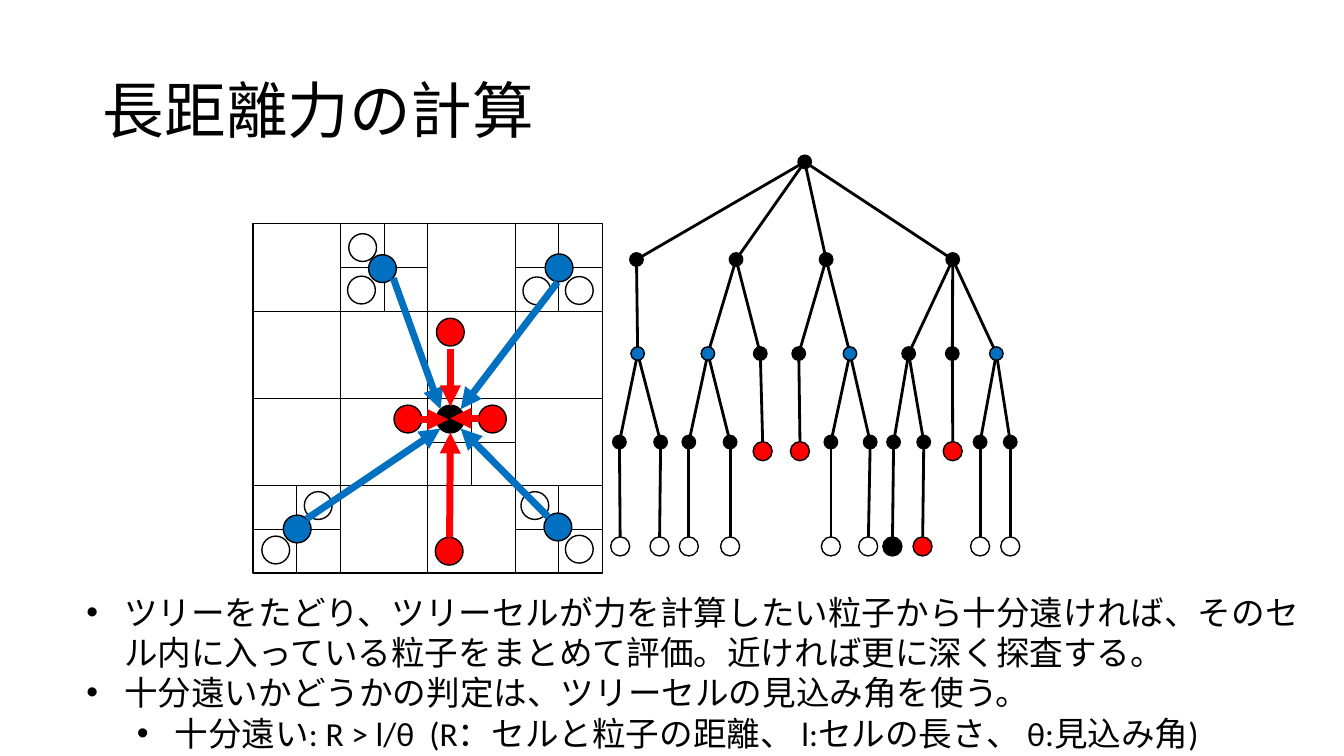
from lxml.etree import SubElement
from pptx import Presentation
from pptx.dml.color import RGBColor
from pptx.enum.shapes import MSO_CONNECTOR, MSO_SHAPE
from pptx.enum.text import MSO_ANCHOR, MSO_AUTO_SIZE, PP_ALIGN
from pptx.oxml.ns import qn
from pptx.util import Cm, Pt

COLORS = {"black": "000000", "white": "FFFFFF", "red": "FF0000", "blue": "0070C0"}
FONT = "Calibri"

deck = Presentation()
deck.slide_width, deck.slide_height = Cm(33.87), Cm(19.05)
page = deck.slides.add_slide(deck.slide_layouts[5])


def add_line(start, end, width, color="black", arrow=False):
    line = page.shapes.add_connector(
        MSO_CONNECTOR.STRAIGHT, Cm(start[0]), Cm(start[1]), Cm(end[0]), Cm(end[1]))
    line.line.width = Pt(width)
    line.line.color.rgb = RGBColor.from_string(COLORS[color])
    properties = line._element.spPr
    if arrow:
        SubElement(properties.find(qn("a:ln")), qn("a:tailEnd"), type="triangle")
    SubElement(properties, qn("a:effectLst"))


def add_shape(kind, center, size, color):
    shape = page.shapes.add_shape(
        kind, Cm(center[0] - size / 2), Cm(center[1] - size / 2), Cm(size), Cm(size))
    shape.shadow.inherit = False
    shape.fill.solid()
    shape.fill.fore_color.rgb = RGBColor.from_string(COLORS[color])
    shape.line.color.rgb = RGBColor.from_string(COLORS["black"])
    shape.line.width = Pt(1)


# Title
title = page.shapes.title
title.left, title.top, title.width, title.height = Cm(2.34), Cm(1.02), Cm(29.21), Cm(3.68)
title.text_frame.text = "長距離力の計算"
title.text_frame.auto_size = MSO_AUTO_SIZE.NONE
title.text_frame.vertical_anchor = MSO_ANCHOR.MIDDLE
heading = title.text_frame.paragraphs[0]
heading.alignment = PP_ALIGN.LEFT
heading.line_spacing = 0.9
heading.font.size = Pt(44)
heading.font.name = FONT
heading.font.color.rgb = RGBColor.from_string(COLORS["black"])

# Tree: each level lists (x, color, index of the parent in the level above)
LEVEL_Y = [4.08, 6.54, 8.91, 11.14, 13.77]
LEVELS = [
    [(20.28, "black", None)],
    [(16.04, "black", 0), (18.55, "black", 0), (20.82, "black", 0), (24.01, "black", 0)],
    [(16.07, "blue", 0), (17.84, "blue", 1), (19.16, "black", 1), (20.13, "black", 2),
     (21.42, "blue", 2), (22.9, "black", 3), (24, "black", 3), (25.11, "blue", 3)],
    [(15.61, "black", 0), (16.65, "black", 0), (17.36, "black", 1), (18.4, "black", 1),
     (19.22, "red", 2), (20.16, "red", 3), (20.94, "black", 4), (21.93, "black", 4),
     (22.52, "black", 5), (23.28, "black", 5), (24.01, "red", 6),
     (24.7, "black", 7), (25.46, "black", 7)],
    [(15.63, "white", 0), (16.62, "white", 1), (17.36, "white", 2), (18.4, "white", 3),
     (20.94, "white", 6), (21.88, "white", 7), (22.49, "black", 8), (23.25, "red", 9),
     (24.7, "white", 11), (25.46, "white", 12)],
]
CELL_DOT, PARTICLE_DOT, RED_DROP = 0.34, 0.48, 0.23

for depth in range(1, len(LEVELS)):
    for x, color, parent in LEVELS[depth]:
        add_line((LEVELS[depth - 1][parent][0], LEVEL_Y[depth - 1]), (x, LEVEL_Y[depth]), 2)

for depth, level in enumerate(LEVELS):
    for x, color, parent in level:
        is_leaf = depth == 4 or color == "red"
        y = LEVEL_Y[depth] + (RED_DROP if is_leaf and depth == 3 else 0)
        add_shape(MSO_SHAPE.OVAL, (x, y), PARTICLE_DOT if is_leaf else CELL_DOT, color)

# Cell grid with subdivided cells given as (column, row)
LEFT, TOP, CELL = 6.38, 5.64, 2.2
SIDE = 4 * CELL
SPLIT_CELLS = [(1, 0), (3, 0), (2, 2), (0, 3), (3, 3)]

add_shape(MSO_SHAPE.RECTANGLE, (LEFT + SIDE / 2, TOP + SIDE / 2), SIDE, "white")
for step in range(1, 4):
    offset = step * CELL
    add_line((LEFT, TOP + offset), (LEFT + SIDE, TOP + offset), 0.5)
    add_line((LEFT + offset, TOP), (LEFT + offset, TOP + SIDE), 0.5)
for column, row in SPLIT_CELLS:
    x, y = LEFT + column * CELL, TOP + row * CELL
    add_line((x, y + CELL / 2), (x + CELL, y + CELL / 2), 0.5)
    add_line((x + CELL / 2, y), (x + CELL / 2, y + CELL), 0.5)

# Particles and the blue centres of distant cells
PARTICLES = {
    "white": [(9.14, 6.24), (9.11, 7.31), (13.53, 7.33), (14.6, 7.32),
              (8.02, 12.74), (6.95, 13.86), (13.48, 12.74), (14.6, 13.84)],
    "red": [(11.35, 8.37), (10.28, 10.56), (12.41, 10.56), (11.32, 13.89)],
    "black": [(11.35, 10.56)],
    "blue": [(9.64, 6.77), (14.09, 6.75), (7.49, 13.33), (14.06, 13.28)],
}
for color, centers in PARTICLES.items():
    for center in centers:
        add_shape(MSO_SHAPE.OVAL, center, 0.7, color)

# Forces on the black particle
FORCES = [
    ("blue", (9.91, 7.01), (11.1, 10.31)),
    ("blue", (14.05, 7.11), (11.61, 10.31)),
    ("blue", (7.72, 13.08), (11.1, 10.8)),
    ("blue", (13.82, 13.03), (11.61, 10.8)),
    ("red", (11.35, 8.79), (11.35, 10.24)),
    ("red", (12.07, 10.54), (11.35, 10.54)),
    ("red", (11.33, 13.54), (11.35, 10.9)),
    ("red", (10.59, 10.57), (11.3, 10.57)),
]
for color, start, end in FORCES:
    add_line(start, end, 5, color, arrow=True)

# Explanation: (level, left margin in cm, text)
NOTES = [
    (0, 0.95, "ツリーをたどり、ツリーセルが力を計算したい粒子から十分遠ければ、"
              "そのセル内に入っている粒子をまとめて評価。近ければ更に深く探査する。"),
    (0, 0.95, "十分遠いかどうかの判定は、ツリーセルの見込み角を使う。"),
    (1, 2.22, "十分遠い: R > l/θ  (R：セルと粒子の距離、 l:セルの長さ、 θ:見込み角)"),
]
box = page.shapes.add_textbox(Cm(1.93), Cm(14.78), Cm(31.22), Cm(4.37))
frame = box.text_frame
frame.word_wrap = True
frame.auto_size = MSO_AUTO_SIZE.SHAPE_TO_FIT_TEXT
for index, (level, margin, text) in enumerate(NOTES):
    para = frame.add_paragraph() if index else frame.paragraphs[0]
    para.text = text
    para.level = level
    para.font.size = Pt(24)
    para.font.name = FONT
    para.font.color.rgb = RGBColor.from_string(COLORS["black"])
    properties = para._p.get_or_add_pPr()
    properties.set("marL", str(Cm(margin)))
    properties.set("indent", str(-Cm(0.95)))
    bullet_font = SubElement(properties, qn("a:buFont"), typeface="Arial")
    bullet_font.addnext(properties.makeelement(qn("a:buChar"), {"char": "•"}))
    # Bullets come before the default run properties
    properties.append(properties.find(qn("a:defRPr")))

deck.save("out.pptx")
